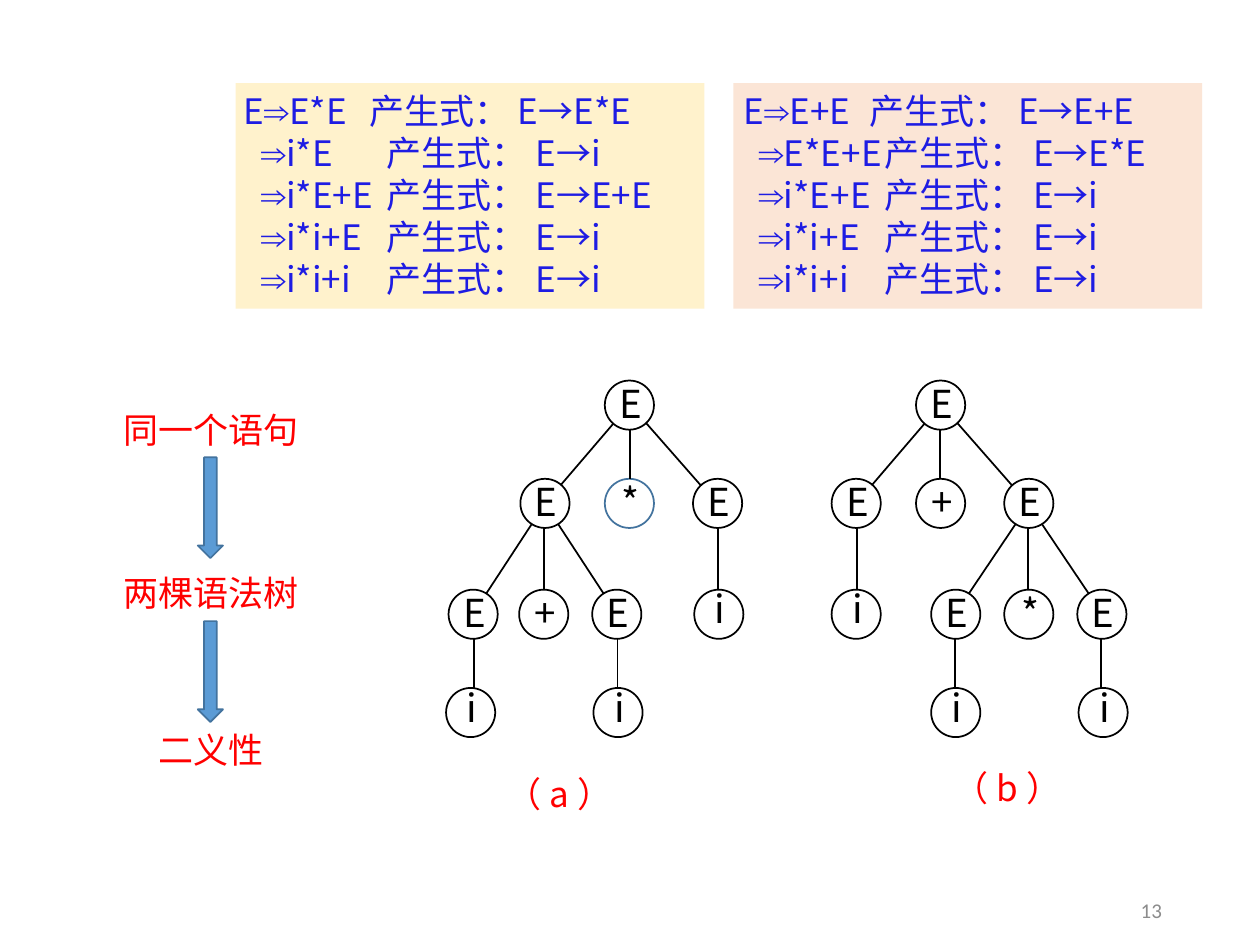
import math

import pptx
import pptx.dml.color
import pptx.enum.shapes
import pptx.enum.text
import pptx.oxml
import pptx.oxml.ns
import pptx.util
from lxml import etree

PX = 9144  # 100 px to the inch
CJK = "Noto Sans CJK SC"
BLACK, RED, BLUE, OUTLINE = "000000", "FF0000", "1E1CE3", "43739E"
SHAPE = pptx.enum.shapes.MSO_SHAPE
ALIGN = pptx.enum.text.PP_ALIGN
ANCHOR = pptx.enum.text.MSO_ANCHOR
DIAMETER = 39


def color(value):
    return pptx.dml.color.RGBColor.from_string(value)


def write(para, text, size=20, font=CJK, fill=BLACK, align=ALIGN.CENTER):
    """Append one formatted span, with the same font for Latin and East Asian text."""
    para.alignment = align
    span = para.add_run()
    span.text = text
    span.font.size = pptx.util.Pt(size)
    span.font.name = font
    span.font.color.rgb = color(fill)
    east_asian = etree.SubElement(span.font._element, pptx.oxml.ns.qn("a:ea"))
    east_asian.set("typeface", font)


deck = pptx.Presentation()
deck.slide_width, deck.slide_height = 1000 * PX, 750 * PX
page = deck.slides.add_slide(deck.slide_layouts[6])

# Derivation panels: left edge, fill, rows of (indent, before ⇒, after ⇒, rule, tab)
panels = [
    (582, "FBE5D6", [
        (8, "E", "E+E", "E→E+E", 130),
        (20, "", "E*E+E", "E→E*E", 143),
        (20, "", "i*E+E", "E→i", 135),
        (20, "", "i*i+E", "E→i", 126),
        (20, "", "i*i+i", "E→i", 117),
    ]),
    (187, "FFF2CC", [
        (6, "E", "E*E", "E→E*E", 120),
        (20, "", "i*E", "E→i", 108),
        (20, "", "i*E+E", "E→E+E", 127),
        (20, "", "i*i+E", "E→i", 119),
        (20, "", "i*i+i", "E→i", 110),
    ]),
]
for left, fill, rows in panels:
    panel = page.shapes.add_shape(SHAPE.RECTANGLE, left * PX, 66 * PX, 372 * PX, 179 * PX)
    panel.shadow.inherit = False
    panel.fill.solid()
    panel.fill.fore_color.rgb = color(fill)
    panel.line.fill.background()
    frame = panel.text_frame
    frame.word_wrap = True
    frame.vertical_anchor = ANCHOR.TOP
    frame.margin_left = frame.margin_right = 0
    frame.margin_top = frame.margin_bottom = 5 * PX
    for number, (indent, start, form, rule, tab) in enumerate(rows):
        para = frame.add_paragraph() if number else frame.paragraphs[0]
        settings = para._p.get_or_add_pPr()
        settings.set("marL", str(indent * PX))
        settings.set("indent", "0")
        tabs = etree.SubElement(settings, pptx.oxml.ns.qn("a:tabLst"))
        etree.SubElement(tabs, pptx.oxml.ns.qn("a:tab"), pos=str(tab * PX), algn="l")
        if start:
            write(para, start, fill=BLUE, align=ALIGN.LEFT)
        write(para, "⇒", font="Arial", fill=BLUE, align=ALIGN.LEFT)
        write(para, f"{form}\t产生式：{rule}", fill=BLUE, align=ALIGN.LEFT)

# Captions and slide number
captions = [
    ("同一个语句", 75, 311, 185),
    ("两棵语法树", 75, 440, 185),
    ("二义性", 98, 565, 139),
    ("（b）", 740, 595, 119),
    ("（a）", 363, 600, 162),
]
for text, left, top, width in captions:
    box = page.shapes.add_textbox(left * PX, top * PX, width * PX, 60 * PX)
    box.text_frame.word_wrap = True
    box.text_frame.vertical_anchor = ANCHOR.MIDDLE
    write(box.text_frame.paragraphs[0], text, fill=RED)

number_box = page.shapes.add_textbox(872 * PX, 695 * PX, 60 * PX, 55 * PX)
number_box.text_frame.word_wrap = True
number_box.text_frame.vertical_anchor = ANCHOR.MIDDLE
write(number_box.text_frame.paragraphs[0], "13", size=12, font="Calibri",
      fill="8C8C8C", align=ALIGN.RIGHT)

for top in (363, 493):
    arrow = page.shapes.add_shape(SHAPE.DOWN_ARROW, 157 * PX, top * PX, 20 * PX, 80 * PX)
    arrow.shadow.inherit = False
    arrow.fill.solid()
    arrow.fill.fore_color.rgb = color("5B9BD5")
    arrow.line.color.rgb = color(OUTLINE)
    arrow.line.width = pptx.util.Pt(1)

# Syntax trees: nodes of (symbol, left, top, index of parent, outline)
trees = [
    [
        ("E", 727, 302, None, BLACK),
        ("E", 660, 380, 0, BLACK),
        ("+", 727, 380, 0, BLACK),
        ("E", 797, 380, 0, BLACK),
        ("i", 660, 468, 1, BLACK),
        ("E", 739, 468, 3, BLACK),
        ("*", 797, 468, 3, BLACK),
        ("E", 855, 468, 3, BLACK),
        ("i", 739, 546, 5, BLACK),
        ("i", 856, 546, 7, BLACK),
    ],
    [
        ("E", 480, 302, None, BLACK),
        ("E", 413, 380, 0, BLACK),
        ("*", 480, 380, 0, OUTLINE),
        ("E", 550, 380, 0, BLACK),
        ("E", 356, 468, 1, BLACK),
        ("+", 412, 468, 1, BLACK),
        ("E", 470, 468, 1, BLACK),
        ("i", 551, 468, 3, BLACK),
        ("i", 354, 546, 4, BLACK),
        ("i", 471, 546, 6, BLACK),
    ],
]
radius = DIAMETER / 2
for nodes in trees:
    tree = page.shapes.add_group_shape()
    for symbol, left, top, parent, outline in nodes:
        circle = tree.shapes.add_shape(SHAPE.OVAL, left * PX, top * PX,
                                       DIAMETER * PX, DIAMETER * PX)
        circle.shadow.inherit = False
        circle.fill.background()
        circle.line.color.rgb = color(outline)
        circle.line.width = pptx.util.Pt(1)

        rise = 11 if symbol == "i" else 8
        label = tree.shapes.add_textbox((left - 12) * PX, (top - rise) * PX, 65 * PX, 52 * PX)
        label.text_frame.word_wrap = True
        label.text_frame.vertical_anchor = ANCHOR.MIDDLE
        write(label.text_frame.paragraphs[0], symbol, size=22)

        if parent is None:
            continue
        # The edge runs from centre to centre, cut off at both circles
        parent_left, parent_top = nodes[parent][1:3]
        run, drop = left - parent_left, top - parent_top
        if abs(run) < 5:
            run = 0
        length = math.hypot(run, drop)
        cut_x, cut_y = radius * run / length, radius * drop / length
        start_x, start_y = parent_left + radius, parent_top + radius
        ends = (start_x + cut_x, start_y + cut_y,
                start_x + run - cut_x, start_y + drop - cut_y)
        edge = tree.shapes.add_connector(pptx.enum.shapes.MSO_CONNECTOR.STRAIGHT,
                                         *(round(end) * PX for end in ends))
        edge.line.color.rgb = color(BLACK)
        edge.line.width = pptx.util.Pt(1)
        etree.SubElement(edge._element.spPr, pptx.oxml.ns.qn("a:effectLst"))

deck.save("out.pptx")
